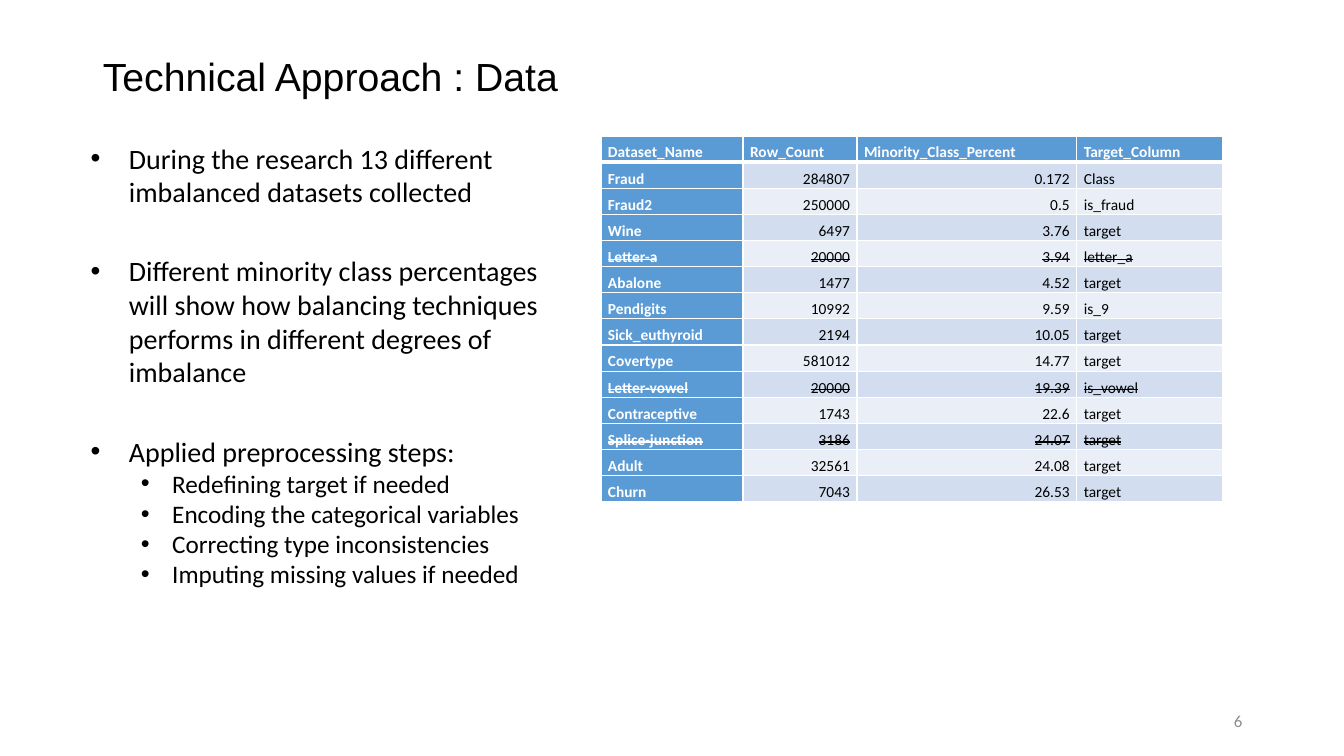
from dataclasses import dataclass

from lxml.etree import SubElement
from pptx import Presentation
from pptx.dml.color import RGBColor as Rgb
from pptx.enum.text import MSO_ANCHOR as Anchor, MSO_AUTO_SIZE as AutoSize, PP_ALIGN as Align
from pptx.oxml.ns import qn
from pptx.util import Pt

PX = 9144


@dataclass(frozen=True)
class Theme:
    title_font: str = "Arial"
    body_font: str = "Calibri"
    ink: str = "000000"
    white: str = "FFFFFF"
    grey: str = "8C8C8C"
    blue: str = "5B9BD5"
    bands: tuple = ("D2DEEF", "EAEFF7")
    title_size: int = 28
    bullet_size: int = 20
    step_size: int = 18
    number_size: int = 12
    table_size: int = 11


THEME = Theme()

TITLE_BOX = (92, 40, 1044, 76)
TABLE_BOX = (596, 135, 617, 363)
NUMBER_BOX = (942, 695, 300, 40)
BULLET_BOXES = [(80, 135, 489, 77), (80, 247, 489, 145), (80, 426, 489, 165)]

BULLETS = [
    ("During the research 13 different imbalanced datasets collected", []),
    ("Different minority class percentages will show how balancing techniques "
     "performs in different degrees of imbalance", []),
    ("Applied preprocessing steps:", [
        "Redefining target if needed",
        "Encoding the categorical variables",
        "Correcting type inconsistencies",
        "Imputing missing values if needed",
    ]),
]

COLUMN_WIDTHS = [141, 113, 218, 145]
HEADER = ("Dataset_Name", "Row_Count", "Minority_Class_Percent", "Target_Column")
DATASETS = [
    ("Fraud", "284807", "0.172", "Class"),
    ("Fraud2", "250000", "0.5", "is_fraud"),
    ("Wine", "6497", "3.76", "target"),
    ("Letter-a", "20000", "3.94", "letter_a"),
    ("Abalone", "1477", "4.52", "target"),
    ("Pendigits", "10992", "9.59", "is_9"),
    ("Sick_euthyroid", "2194", "10.05", "target"),
    ("Covertype", "581012", "14.77", "target"),
    ("Letter-vowel", "20000", "19.39", "is_vowel"),
    ("Contraceptive", "1743", "22.6", "target"),
    ("Splice-junction", "3186", "24.07", "target"),
    ("Adult", "32561", "24.08", "target"),
    ("Churn", "7043", "26.53", "target"),
]
DROPPED = {"Letter-a", "Letter-vowel", "Splice-junction"}


def px(*lengths):
    return [length * PX for length in lengths]


def add_run(para, text, size, color=THEME.ink, font=THEME.body_font, bold=False):
    span = para.add_run()
    span.text = text
    span.font.size = Pt(size)
    span.font.name = font
    span.font.bold = bold
    span.font.color.rgb = Rgb.from_string(color)
    return span


def add_frame(page, box):
    frame = page.shapes.add_textbox(*px(*box)).text_frame
    frame.word_wrap = True
    return frame


def set_bullet(para, indent, hanging):
    props = para._p.get_or_add_pPr()
    props.set("marL", str(indent * PX))
    props.set("indent", str(-hanging * PX))
    SubElement(props, qn("a:buFont"), typeface="Arial")
    SubElement(props, qn("a:buChar"), char="•")


def set_borders(cell, bottom_width):
    props = cell._tc.get_or_add_tcPr()
    for side, width in (("lnL", 1), ("lnR", 1), ("lnT", 1), ("lnB", bottom_width)):
        line = SubElement(props, qn(f"a:{side}"), w=str(Pt(width)))
        fill = SubElement(line, qn("a:solidFill"))
        SubElement(fill, qn("a:srgbClr"), val=THEME.white)


def place_title(page, box, text):
    title = page.shapes.title
    title.left, title.top, title.width, title.height = px(*box)
    frame = title.text_frame
    frame.word_wrap = True
    frame.auto_size = AutoSize.NONE
    frame.vertical_anchor = Anchor.MIDDLE
    para = frame.paragraphs[0]
    para.alignment = Align.LEFT
    para.line_spacing = 0.9
    add_run(para, text, THEME.title_size, font=THEME.title_font)


def add_bullet_block(page, box, heading, steps):
    frame = add_frame(page, box)
    para = frame.paragraphs[0]
    set_bullet(para, 38, 38)
    add_run(para, heading, THEME.bullet_size)
    for step in steps:
        para = frame.add_paragraph()
        para.level = 1
        set_bullet(para, 81, 31)
        add_run(para, step, THEME.step_size)


def fill_cell(cell, text, row, column, dropped):
    is_header = row == 0
    is_label = is_header or column == 0
    cell.margin_left = cell.margin_right = 7 * PX
    cell.margin_top = cell.margin_bottom = 0
    cell.vertical_anchor = Anchor.BOTTOM
    set_borders(cell, 3 if is_header else 1)
    cell.fill.solid()
    color = THEME.blue if is_label else THEME.bands[(row - 1) % 2]
    cell.fill.fore_color.rgb = Rgb.from_string(color)
    para = cell.text_frame.paragraphs[0]
    para.line_spacing = 1.07
    para.alignment = Align.RIGHT if not is_header and column in (1, 2) else Align.LEFT
    span = add_run(para, text, THEME.table_size,
                   THEME.white if is_label else THEME.ink, bold=is_label)
    if dropped:
        span.font._element.set("strike", "sngStrike")


def add_dataset_table(page, box):
    rows = [HEADER, *DATASETS]
    table = page.shapes.add_table(len(rows), len(HEADER), *px(*box)).table
    for column, width in zip(table.columns, COLUMN_WIDTHS):
        column.width = width * PX
    for row, values in enumerate(rows):
        table.rows[row].height = box[3] * PX // len(rows)
        for column, text in enumerate(values):
            fill_cell(table.cell(row, column), text, row, column, values[0] in DROPPED)


def add_page_number(page, box, number):
    frame = add_frame(page, box)
    frame.vertical_anchor = Anchor.MIDDLE
    para = frame.paragraphs[0]
    para.alignment = Align.RIGHT
    add_run(para, number, THEME.number_size, THEME.grey)


def build_data_page(deck):
    page = deck.slides.add_slide(deck.slide_layouts.get_by_name("Title Only"))
    place_title(page, TITLE_BOX, "Technical Approach : Data")
    add_dataset_table(page, TABLE_BOX)
    add_page_number(page, NUMBER_BOX, "6")
    for box, (heading, steps) in zip(BULLET_BOXES, BULLETS):
        add_bullet_block(page, box, heading, steps)


def main():
    deck = Presentation()
    deck.slide_width, deck.slide_height = px(1333, 750)
    build_data_page(deck)
    deck.save("out.pptx")


if __name__ == "__main__":
    main()
